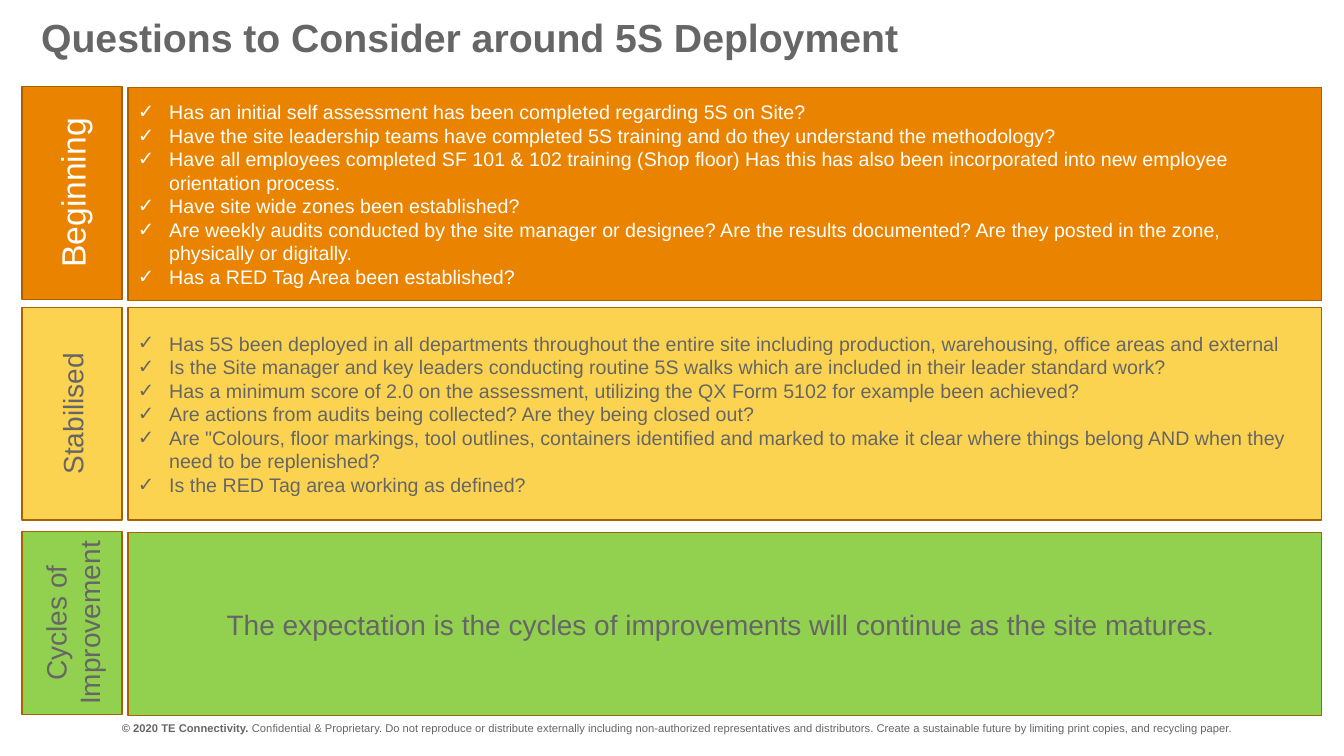
from dataclasses import dataclass

from lxml import etree
from pptx import Presentation
from pptx import util as u
from pptx.dml import color
from pptx.enum import shapes, text
from pptx.oxml import ns

GREY, WHITE, EDGE = "666666", "FFFFFF", "AC6100"
FONT = "Arial"
HANG = u.Inches(0.31)
TAG_X, TAG_W = 0.22, 0.99
BODY_X, BODY_W = 1.27, 11.84


@dataclass
class Stage:
    tag: str
    tag_size: int
    tag_top: float
    top: float
    height: float
    fill: str
    ink: str
    size: int
    lines: list[str]
    checks: bool = True


STAGES = [
    Stage("Beginning", 24, 0.86, 0.87, 2.11, "E98300", WHITE, 14, [
        "Has an initial self assessment has been completed regarding 5S on Site?",
        "Have the site leadership teams have completed 5S training and do they understand the methodology?",
        "Have all employees completed SF 101 & 102 training (Shop floor) Has this has also been "
        "incorporated into new employee orientation process.",
        "Have site wide zones been established?",
        "Are weekly audits conducted by the site manager or designee? Are the results documented? "
        "Are they posted in the zone, physically or digitally.",
        "Has a RED Tag Area been established?",
    ]),
    Stage("Stabilised", 20, 3.05, 3.05, 2.11, "FCD350", GREY, 14, [
        "Has 5S been deployed in all departments throughout the entire site including production, "
        "warehousing, office areas and external",
        "Is the Site manager and key leaders conducting routine 5S walks which are included in "
        "their leader standard work?",
        "Has a minimum score of 2.0 on the assessment, utilizing the QX Form 5102 for example been achieved?",
        "Are actions from audits being collected? Are they being closed out?",
        "Are \"Colours, floor markings, tool outlines, containers identified and marked to make it "
        "clear where things belong AND when they need to be replenished?",
        "Is the RED Tag area working as defined?",
    ]),
    Stage("Cycles of Improvement", 20, 5.27, 5.28, 1.82, "92D050", GREY, 20, [
        "The expectation is the cycles of improvements will continue as the site matures. ",
    ], checks=False),
]


def rgb(code: str) -> color.RGBColor:
    return color.RGBColor.from_string(code)


def style(para, size: int, ink: str) -> None:
    para.font.name = FONT
    para.font.size = u.Pt(size)
    para.font.color.rgb = rgb(ink)


def check(para) -> None:
    """Give a paragraph a hanging check mark."""
    props = para._p.get_or_add_pPr()
    props.set("marL", str(HANG))
    props.set("indent", str(-HANG))
    etree.SubElement(props, ns.qn("a:buFont")).set("typeface", FONT)
    etree.SubElement(props, ns.qn("a:buChar")).set("char", "✓")


def panel(slide, left: float, top: float, width: float, height: float, fill: str,
          lines: list[str], size: int, ink: str, checks: bool = False):
    box = slide.shapes.add_shape(
        shapes.MSO_SHAPE.RECTANGLE,
        u.Inches(left), u.Inches(top), u.Inches(width), u.Inches(height))
    box.shadow.inherit = False
    box.fill.solid()
    box.fill.fore_color.rgb = rgb(fill)
    box.line.color.rgb = rgb(EDGE)
    box.line.width = u.Pt(1)
    frame = box.text_frame
    frame.word_wrap = True
    frame.vertical_anchor = text.MSO_ANCHOR.MIDDLE
    for i, line in enumerate(lines):
        para = frame.paragraphs[0] if i == 0 else frame.add_paragraph()
        para.text = line
        para.alignment = text.PP_ALIGN.LEFT if checks else text.PP_ALIGN.CENTER
        if checks:
            check(para)
        style(para, size, ink)
    return box


def upright(frame) -> None:
    """Turn text to read upwards, with slim margins so long words fit."""
    frame._txBody.bodyPr.set("vert", "vert270")
    frame.margin_left = frame.margin_right = u.Inches(0.03)
    frame.margin_top = frame.margin_bottom = u.Inches(0.03)


def label(slide, left: float, top: float, width: float, height: float,
          size: int, bold: str, plain: str = "") -> None:
    """Add a line of text that opens in bold."""
    box = slide.shapes.add_textbox(
        u.Inches(left), u.Inches(top), u.Inches(width), u.Inches(height))
    box.text_frame.word_wrap = True
    box.text_frame.margin_right = 0
    para = box.text_frame.paragraphs[0]
    style(para, size, GREY)
    for words, heavy in ((bold, True), (plain, False)):
        if words:
            run = para.add_run()
            run.text = words
            run.font.bold = heavy


def main() -> None:
    deck = Presentation()
    deck.slide_width, deck.slide_height = u.Inches(13.33), u.Inches(7.5)
    slide = deck.slides.add_slide(deck.slide_layouts[6])

    # Title
    label(slide, 0.31, 0.08, 12.55, 0.65, 28, "Questions to Consider around 5S Deployment")

    # One row per stage: upright tag and question panel
    for s in STAGES:
        panel(slide, BODY_X, s.top, BODY_W, s.height, s.fill, s.lines, s.size, s.ink, s.checks)
        tag = panel(slide, TAG_X, s.tag_top, TAG_W, s.height, s.fill, [s.tag], s.tag_size, s.ink)
        upright(tag.text_frame)

    # Footer
    label(slide, 1.11, 7.11, 11.22, 0.21, 8, "© 2020 TE Connectivity. ",
          "Confidential & Proprietary. Do not reproduce or distribute externally including "
          "non-authorized representatives and distributors. Create a sustainable future by "
          "limiting print copies, and recycling paper.")

    deck.save("out.pptx")


if __name__ == "__main__":
    main()
